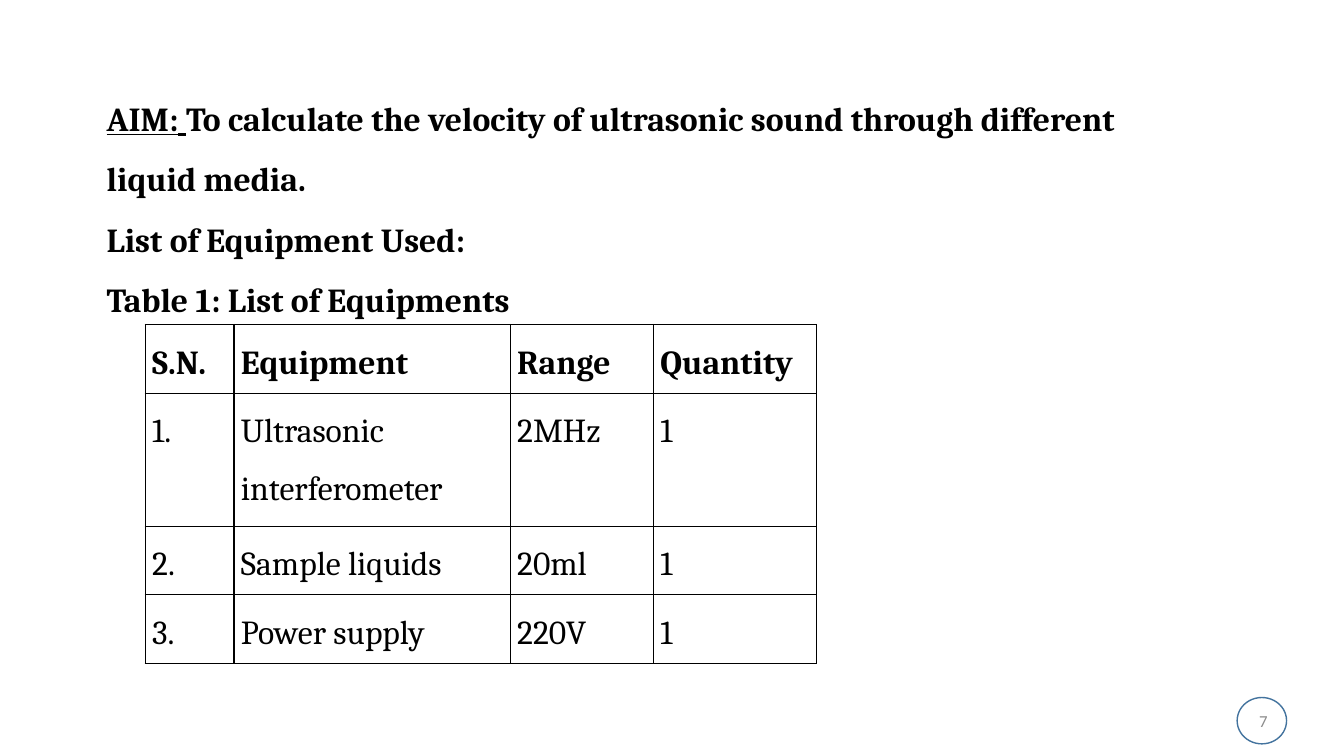
"""Build the slide with the aim and the equipment table."""
from pptx import Presentation
from pptx import util as u
from pptx.dml.color import RGBColor
from pptx.enum import shapes, text
from pptx.oxml import parse_xml
from pptx.oxml.ns import nsdecls


def color(hexa):
    return RGBColor.from_string(hexa)


def style(run, size, face, hexa, bold=False):
    font = run.font
    font.size, font.name, font.bold = u.Pt(size), face, bold
    font.color.rgb = color(hexa)


deck = Presentation()
deck.slide_width, deck.slide_height = u.Inches(13.33), u.Inches(7.5)
slide = deck.slides.add_slide(deck.slide_layouts[6])

page = slide.shapes.add_textbox(u.Inches(9.67), u.Inches(6.95), u.Inches(3), u.Inches(0.4))
page.text_frame.word_wrap = True
page.text_frame.vertical_anchor = text.MSO_ANCHOR.MIDDLE
para = page.text_frame.paragraphs[0]
para.text = "7"
para.alignment = text.PP_ALIGN.RIGHT
style(para.runs[0], 12, "Calibri", "8C8C8C")

ring = slide.shapes.add_shape(shapes.MSO_SHAPE.OVAL, u.Inches(12.27), u.Inches(6.92),
                              u.Inches(0.49), u.Inches(0.46))
ring.shadow.inherit = False
ring.fill.background()
ring.line.color.rgb = color("43739E")
ring.line.width = u.Pt(1)

body = slide.shapes.add_textbox(u.Inches(0.96), u.Inches(0.72), u.Inches(10.72), u.Inches(6.97))
frame = body.text_frame
frame.word_wrap = True
lines = [
    ["AIM:", " ", "To calculate the velocity of ultrasonic sound through different liquid media."],
    ["List of Equipment Used:"],
    ["Table 1: List of Equipments"],
]
for i, parts in enumerate(lines):
    para = frame.add_paragraph() if i else frame.paragraphs[0]
    para.line_spacing = 1.5
    for part in parts:
        run = para.add_run()
        run.text = part
        style(run, 24, "Calibri" if part == " " else "Cambria", "000000", True)
        run.font.underline = part in ("AIM:", " ")

rows = [
    ["S.N.", "Equipment", "Range", "Quantity"],
    ["1.", "Ultrasonic interferometer", "2MHz", "1"],
    ["2.", "Sample liquids", "20ml", "1"],
    ["3.", "Power supply", "220V", "1"],
]
widths = [0.88, 2.74, 1.42, 1.62]
heights = [0.68, 1.32, 0.68, 0.68]
table = slide.shapes.add_table(len(rows), len(widths), u.Inches(1.44), u.Inches(3.22),
                               u.Inches(sum(widths)), u.Inches(sum(heights))).table
table.first_row = table.horz_banding = False
for col, width in zip(table.columns, widths):
    col.width = u.Inches(width)
for r, row in enumerate(rows):
    table.rows[r].height = u.Inches(heights[r])
    for c, word in enumerate(row):
        cell = table.cell(r, c)
        cell.margin_left = cell.margin_right = u.Inches(0.07)
        cell.margin_top = cell.margin_bottom = 0
        props = cell._tc.get_or_add_tcPr()
        for side in "LRTB":
            props.append(parse_xml(
                f'<a:ln{side} {nsdecls("a")} w="12700"><a:solidFill>'
                f'<a:srgbClr val="000000"/></a:solidFill></a:ln{side}>'))
        cell.fill.background()
        para = cell.text_frame.paragraphs[0]
        para.text = word
        para.alignment = text.PP_ALIGN.JUSTIFY
        para.line_spacing = 1.5
        style(para.runs[0], 24, "Cambria", "000000", r == 0)

deck.save("out.pptx")
